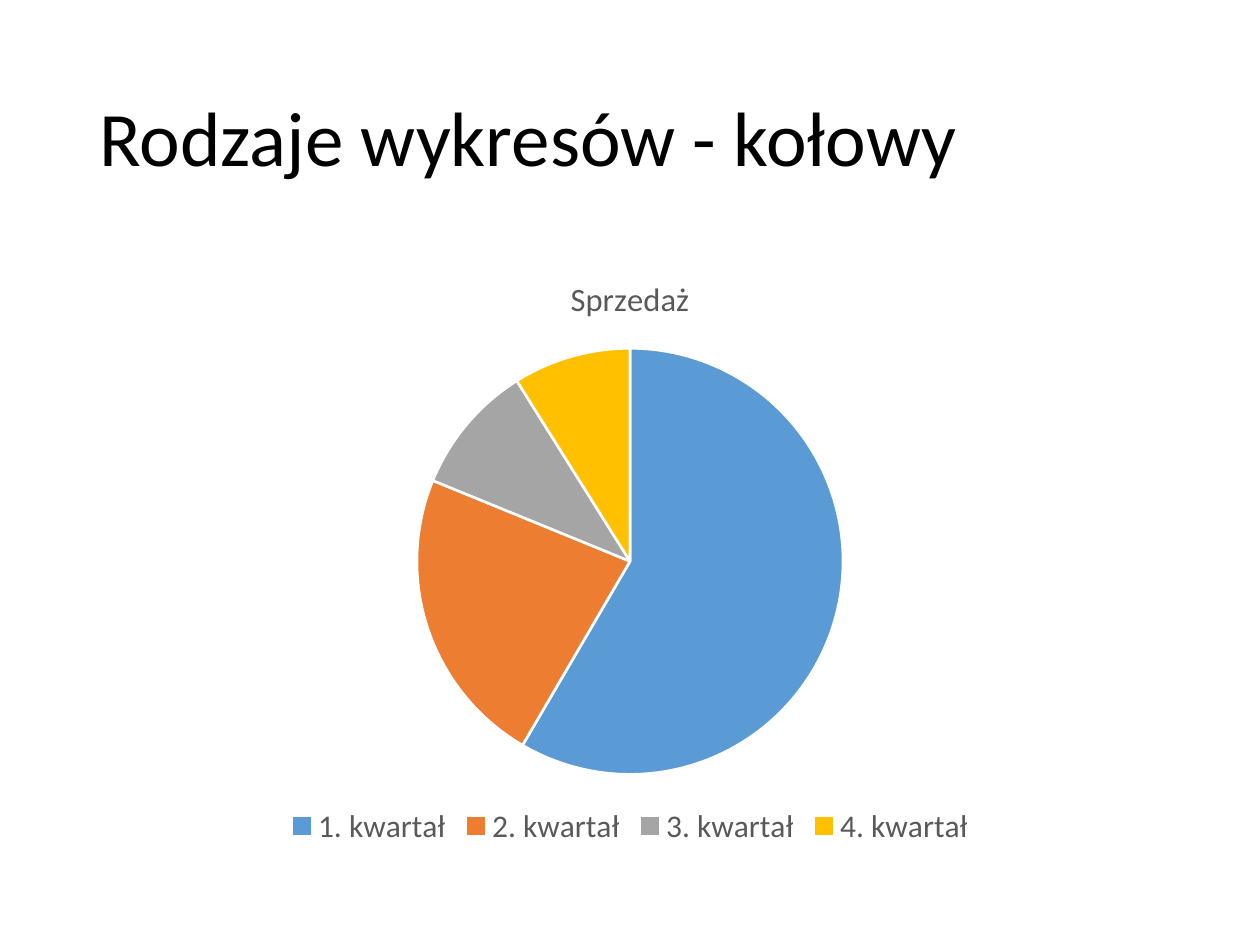
import pptx
import pptx.chart.data
import pptx.dml.color
import pptx.enum.chart
import pptx.enum.text
import pptx.util

# Content
TITLE = "Rodzaje wykresów - kołowy"
SERIES = "Sprzedaż"
QUARTERS = [
    ("1. kwartał", 59, "5B9BD5"),
    ("2. kwartał", 23, "ED7D31"),
    ("3. kwartał", 10, "A5A5A5"),
    ("4. kwartał", 9, "FFC000"),
]
FONT = "Calibri"
BLACK, GREY, WHITE = "000000", "595959", "FFFFFF"

# Layout in inches
WIDTH, HEIGHT = 10, 7.5
MARGIN = 0.69
TITLE_TOP, TITLE_HEIGHT = 0.4, 1.45
CHART_TOP, CHART_HEIGHT = 2, 4.76


def color(value):
    return pptx.dml.color.RGBColor.from_string(value)


def style(font, size, value):
    font.name = FONT
    font.size = pptx.util.Pt(size)
    font.bold = False
    font.color.rgb = color(value)


def band(top, height):
    """Area between the side margins."""
    return [pptx.util.Inches(n) for n in (MARGIN, top, WIDTH - 2 * MARGIN, height)]


def add_title(page):
    box = page.shapes.add_textbox(*band(TITLE_TOP, TITLE_HEIGHT))
    frame = box.text_frame
    frame.word_wrap = True
    frame.vertical_anchor = pptx.enum.text.MSO_ANCHOR.MIDDLE
    para = frame.paragraphs[0]
    para.line_spacing = 0.9
    span = para.add_run()
    span.text = TITLE
    style(span.font, 44, BLACK)


def add_pie(page):
    names, values, fills = zip(*QUARTERS)
    data = pptx.chart.data.CategoryChartData()
    data.categories = names
    data.add_series(SERIES, values)
    chart = page.shapes.add_chart(
        pptx.enum.chart.XL_CHART_TYPE.PIE, *band(CHART_TOP, CHART_HEIGHT), data
    ).chart
    style(chart.font, 10, BLACK)

    # Chart title
    chart.has_title = True
    span = chart.chart_title.text_frame.paragraphs[0].add_run()
    span.text = SERIES
    style(span.font, 18.6, GREY)
    chart.chart_title.include_in_layout = False

    # Legend
    chart.has_legend = True
    chart.legend.position = pptx.enum.chart.XL_LEGEND_POSITION.BOTTOM
    chart.legend.include_in_layout = False
    style(chart.legend.font, 18, GREY)

    # Slices
    plot = chart.plots[0]
    plot.vary_by_categories = True
    for index, fill in enumerate(fills):
        part = plot.series[0].points[index].format
        part.fill.solid()
        part.fill.fore_color.rgb = color(fill)
        part.line.color.rgb = color(WHITE)
        part.line.width = pptx.util.Pt(1.5)


def main():
    deck = pptx.Presentation()
    deck.slide_width = pptx.util.Inches(WIDTH)
    deck.slide_height = pptx.util.Inches(HEIGHT)
    page = deck.slides.add_slide(deck.slide_layouts[6])
    page.background.fill.solid()
    page.background.fill.fore_color.rgb = color(WHITE)
    add_title(page)
    add_pie(page)
    deck.save("out.pptx")


if __name__ == "__main__":
    main()
